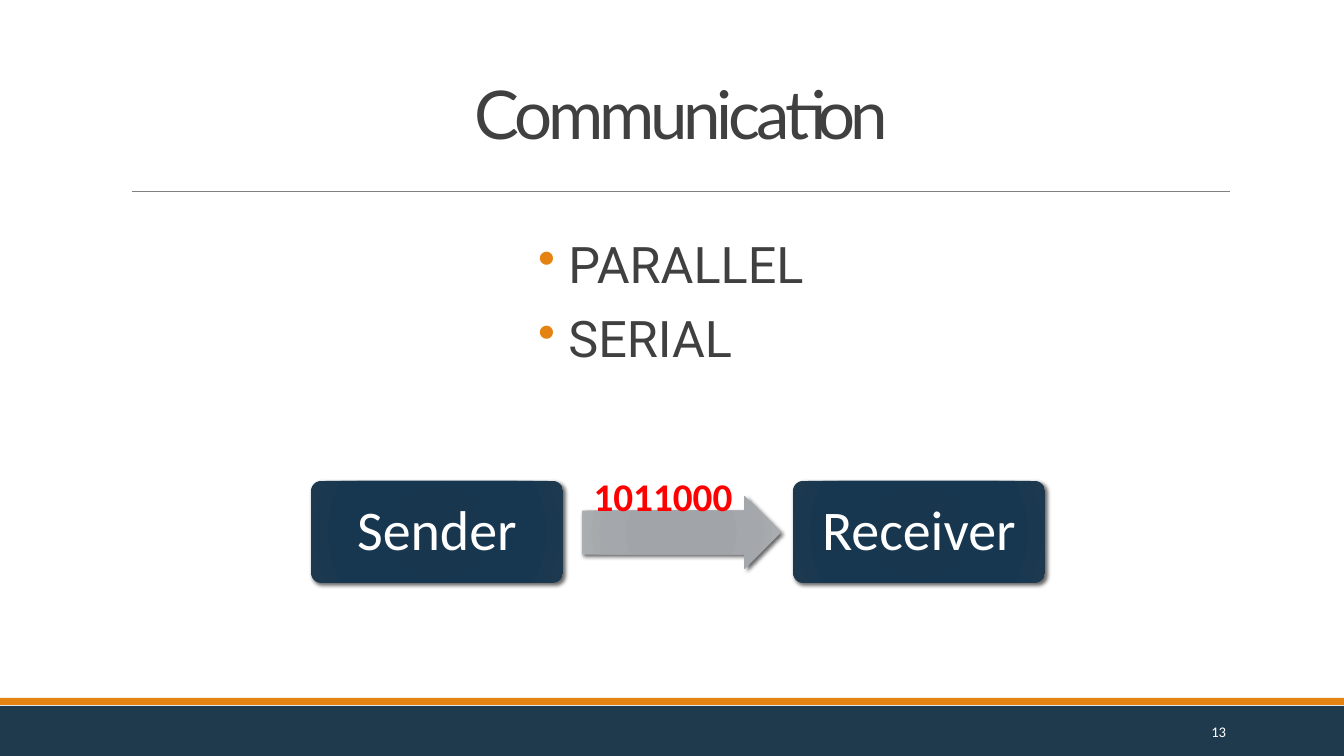
"""Build the Communication slide with its sender and receiver diagram."""
import dataclasses

import lxml.etree
import pptx
import pptx.dml.color
import pptx.enum.shapes
import pptx.enum.text
import pptx.oxml
import pptx.oxml.ns
import pptx.util

SCALE = 12192000 / 1344
SHAPE = pptx.enum.shapes.MSO_SHAPE
ALIGN = pptx.enum.text.PP_ALIGN
ANCHOR = pptx.enum.text.MSO_ANCHOR
QN = pptx.oxml.ns.qn
NS = pptx.oxml.ns.nsdecls("a")


@dataclasses.dataclass(frozen=True)
class Theme:
    """Colours, fonts and type sizes of the slide."""
    ink: str = "404040"
    white: str = "FFFFFF"
    red: str = "FF0000"
    navy: str = "1F394D"
    orange: str = "E48312"
    grey: str = "808080"
    blues: tuple = ("16364E", "18364E", "173750", "1D394F")
    greys: tuple = ("9FA3A7", "A1A4A8", "A4A7AB", "ACAFB2")
    head: str = "Lato"
    list: str = "Roboto"
    body: str = "Calibri"
    title: int = 48
    block: int = 40
    item: int = 36
    bits: int = 28
    page: float = 10.5


THEME = Theme()


def px(*nums):
    """Turn pixels into EMU."""
    return [pptx.util.Emu(round(n * SCALE)) for n in nums]


def rgb(code):
    """Turn a hex code into a colour."""
    return pptx.dml.color.RGBColor.from_string(code)


def apply(item, values):
    """Set each named value on an item."""
    for name, value in values.items():
        setattr(item, name, value)


def write(frame, lines, font, size, color, para, bold=False, bullet=False):
    """Write styled lines into a text frame."""
    for num, line in enumerate(lines):
        part = frame.add_paragraph() if num else frame.paragraphs[0]
        part.text = line
        if bullet:
            mark(part)
        apply(part, para)
        if num:
            part.space_before = pptx.util.Pt(12)
        apply(part.runs[0].font, {
            "name": font, "size": pptx.util.Pt(size), "bold": bold})
        part.runs[0].font.color.rgb = rgb(color)


def mark(part):
    """Give a paragraph an orange hanging bullet."""
    props = part._p.get_or_add_pPr()
    apply_xml = {"marL": "91440", "indent": "-91440"}
    for name, value in apply_xml.items():
        props.set(name, value)
    tint = lxml.etree.SubElement(props, QN("a:buClr"))
    lxml.etree.SubElement(tint, QN("a:srgbClr"), val=THEME.orange)
    lxml.etree.SubElement(props, QN("a:buChar"), char="•")


def label(slide, box, lines, font, size, color, para, anchor=ANCHOR.TOP,
          side=10, **more):
    """Add a wrapped text box and return its frame."""
    frame = slide.shapes.add_textbox(*px(*box)).text_frame
    left, top = px(side, 5)
    apply(frame, {
        "word_wrap": True, "vertical_anchor": anchor,
        "margin_left": left, "margin_right": left,
        "margin_top": top, "margin_bottom": top})
    write(frame, lines, font, size, color, para, **more)
    return frame


def band(slide, box, color):
    """Add a plain filled band."""
    shape = slide.shapes.add_shape(SHAPE.RECTANGLE, *px(*box))
    shape.shadow.inherit = False
    shape.fill.solid()
    shape.fill.fore_color.rgb = rgb(color)
    shape.line.fill.background()


def rule(slide, left, right, top):
    """Add a thin level rule."""
    line = slide.shapes.add_connector(
        pptx.enum.shapes.MSO_CONNECTOR.STRAIGHT, *px(left, top, right, top))
    line.line.color.rgb = rgb(THEME.grey)
    line.line.width = pptx.util.Pt(0.5)
    lxml.etree.SubElement(line._element.spPr, QN("a:effectLst"))


def solid(slide, kind, box, tones, adjust):
    """Add a shape with a round gradient and a soft shadow."""
    shape = slide.shapes.add_shape(kind, *px(*box))
    for num, value in enumerate(adjust):
        shape.adjustments[num] = value
    shape.fill.background()
    shape.line.fill.background()
    shape.shadow.inherit = False
    stops = "".join(
        f'<a:gs pos="{pos}000"><a:srgbClr val="{tone}"/></a:gs>'
        for pos, tone in zip((0, 34, 70, 100), tones))
    props = shape._element.spPr
    props.replace(props.find(QN("a:noFill")), pptx.oxml.parse_xml(
        f'<a:gradFill {NS} rotWithShape="1"><a:gsLst>{stops}</a:gsLst>'
        '<a:path path="circle"><a:fillToRect l="100000" t="100000" '
        'r="100000" b="100000"/></a:path></a:gradFill>'))
    props.find(QN("a:effectLst")).append(pptx.oxml.parse_xml(
        f'<a:outerShdw {NS} blurRad="38100" dist="25400" dir="2700000" '
        'rotWithShape="0"><a:srgbClr val="000000"><a:alpha val="60000"/>'
        '</a:srgbClr></a:outerShdw>'))
    return shape


def block(slide, left, name):
    """Add a named end point of the link."""
    shape = solid(slide, SHAPE.ROUNDED_RECTANGLE, (left, 481, 252, 102),
                  THEME.blues, [0.1])
    shape.text_frame.vertical_anchor = ANCHOR.MIDDLE
    write(shape.text_frame, [name], THEME.body, THEME.block, THEME.white,
          {"alignment": ALIGN.CENTER, "line_spacing": 0.9})


def main():
    """Build and save the slide."""
    deck = pptx.Presentation()
    wide, high = px(1344, 756)
    apply(deck, {"slide_width": wide, "slide_height": high})
    slide = deck.slides.add_slide(deck.slide_layouts[6])

    band(slide, (0, 706, 1344, 50), THEME.navy)
    band(slide, (0, 698, 1344, 7), THEME.orange)
    rule(slide, 132, 1230, 191)

    title = label(slide, (127, 55, 1109, 103), ["Communication"],
                  THEME.head, THEME.title, THEME.ink,
                  {"alignment": ALIGN.CENTER, "line_spacing": 0.85},
                  ANCHOR.BOTTOM)
    title.paragraphs[0].runs[0].font._element.set("spc", "-300")
    label(slide, (538, 235, 351, 165), [" PARALLEL", " SERIAL"],
          THEME.list, THEME.item, THEME.ink,
          {"line_spacing": 0.9, "space_after": pptx.util.Pt(2)},
          side=0, bullet=True)

    block(slide, 311, "Sender")
    solid(slide, SHAPE.RIGHT_ARROW, (582, 496, 199, 73),
          THEME.greys, [0.6, 0.5])
    block(slide, 793, "Receiver")
    label(slide, (568, 467, 190, 57), ["1011000"], THEME.body, THEME.bits,
          THEME.red, {"alignment": ALIGN.CENTER}, bold=True)
    label(slide, (1092, 712, 144, 40), ["13"], THEME.body, THEME.page,
          THEME.white, {"alignment": ALIGN.RIGHT}, ANCHOR.MIDDLE)
    deck.save("out.pptx")


if __name__ == "__main__":
    main()
